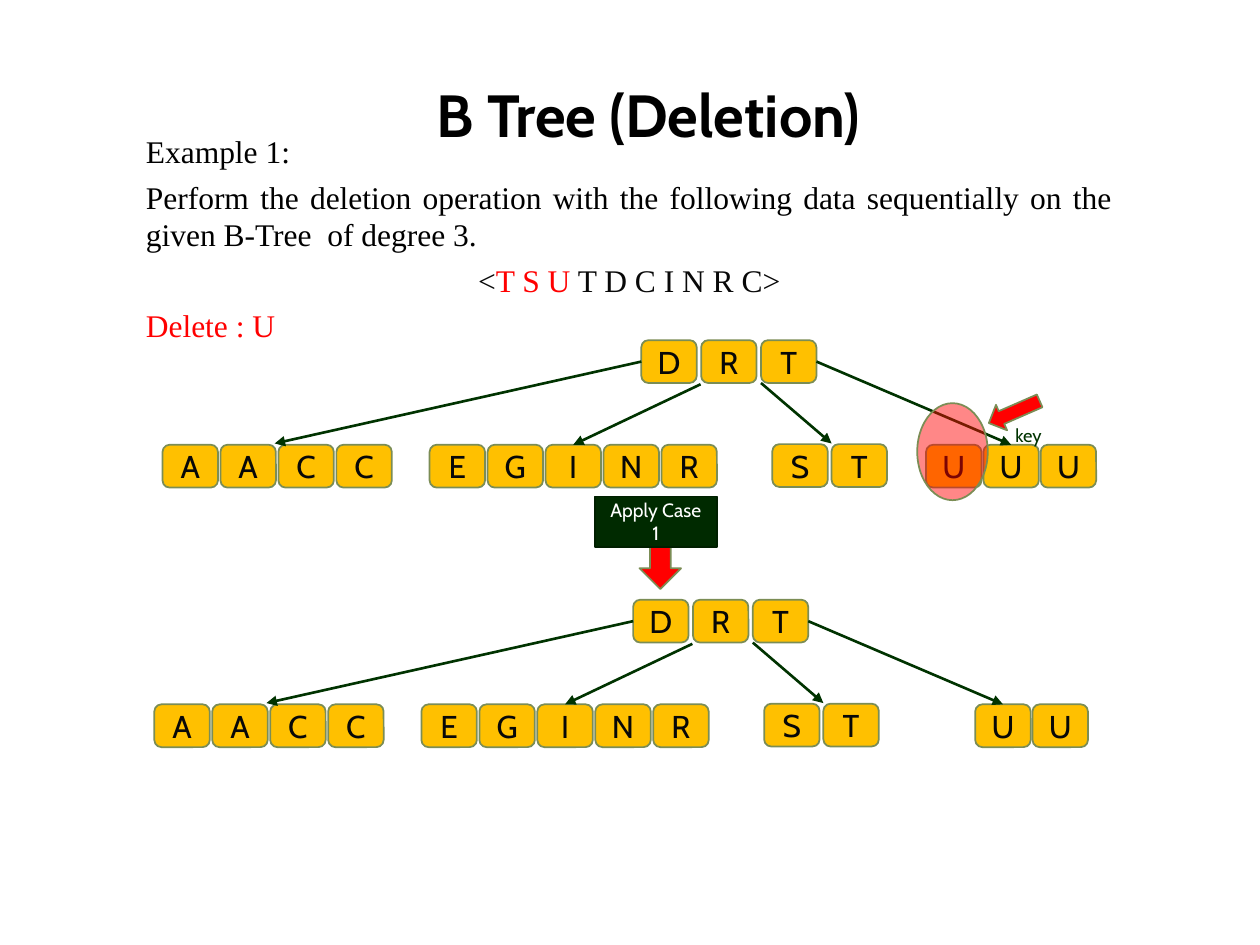
from lxml import etree
from pptx import Presentation
from pptx import util as u
from pptx.dml.color import RGBColor
from pptx.enum import shapes, text
from pptx.oxml.ns import qn

BLACK = RGBColor(0x00, 0x00, 0x00)
INK = RGBColor(0x08, 0x08, 0x08)
WHITE = RGBColor(0xFF, 0xFF, 0xFF)
RED = RGBColor(0xFF, 0x00, 0x00)
AMBER = RGBColor(0xFF, 0xC0, 0x00)
OLIVE = RGBColor(0x7B, 0x8D, 0x55)
GREEN = RGBColor(0x00, 0x33, 0x00)
DARK_GREEN = RGBColor(0x00, 0x2A, 0x00)
EDGE_GREEN = RGBColor(0x00, 0x1F, 0x00)

TITLE = {"name": "Cabin", "size": u.Pt(34), "bold": True}
BODY = {"name": "Times New Roman", "size": u.Pt(18)}
KEY = {"name": "Cabin", "size": u.Pt(18)}
CASE = {"name": "Cabin", "size": u.Pt(11)}
NOTE = {"name": "Cabin", "size": u.Pt(10.5)}

ALIGN = text.PP_ALIGN
PRESET = shapes.MSO_SHAPE

deck = Presentation()
deck.slide_width, deck.slide_height = u.Inches(10), u.Inches(7.5)
slide = deck.slides.add_slide(deck.slide_layouts[6])

# The slide is a grid of 100 columns by 75 rows
COL = deck.slide_width / 100
ROW = deck.slide_height / 75


def write(paragraph, runs, style, align):
    """Fill a paragraph with (words, colour) runs that share one style."""
    paragraph.alignment = align
    for words, color in runs:
        run = paragraph.add_run()
        run.text = words
        for attribute, value in style.items():
            setattr(run.font, attribute, value)
        run.font.color.rgb = color


def add_block(group, preset, place, fill, line=OLIVE):
    """Add a filled shape at (column, row, columns, rows)."""
    x, y, w, h = place
    block = group.shapes.add_shape(
        preset, int(x * COL), int(y * ROW), int(w * COL), int(h * ROW))
    block.shadow.inherit = False
    block.fill.solid()
    block.fill.fore_color.rgb = fill
    block.line.color.rgb = line
    block.line.width = u.Pt(1)
    block.text_frame.vertical_anchor = text.MSO_ANCHOR.MIDDLE
    return block


# Title
title = slide.shapes.add_textbox(
    int(6.5 * COL), int(5.1 * ROW), int(90 * COL), int(7.9 * ROW)).text_frame
title.word_wrap = True
title.vertical_anchor = text.MSO_ANCHOR.MIDDLE
write(title.paragraphs[0], [("B Tree (Deletion)", BLACK)], TITLE, ALIGN.CENTER)

# Exercise
exercise = slide.shapes.add_textbox(
    int(10.6 * COL), int(9.7 * ROW), int(78.7 * COL), int(18.6 * ROW)).text_frame
exercise.word_wrap = True
exercise.margin_top = int(0.8 * ROW)
task = ("Perform the deletion operation with the following data sequentially "
        "on the given B-Tree  of degree 3.")
lines = [
    (ALIGN.JUSTIFY, [("Example 1:", BLACK)]),
    (ALIGN.JUSTIFY, [(task, BLACK)]),
    (ALIGN.CENTER, [("<", INK), ("T S U", RED), (" T D C I N R C>", INK)]),
    (ALIGN.LEFT, [("Delete : U", RED)]),
]
for number, (align, runs) in enumerate(lines):
    paragraph = exercise.paragraphs[0] if number == 0 else exercise.add_paragraph()
    if number:
        paragraph.space_before = u.Pt(4.3)
    write(paragraph, runs, BODY, align)

# Trees before and after the deletion: shift, then the last leaf
KEY_W, KEY_H = 4.4, 3.4
trees = [(0, 0, (73.5, 35.3, 4.55, "UUU")),
         (-0.65, 20.6, (78.05, 35.3, 4.55, "UU"))]
groups = []
for shift_x, shift_y, last_leaf in trees:
    group = slide.shapes.add_group_shape()
    groups.append(group)
    nodes = []
    for x, y, pitch, keys in [(50.9, 27, 4.75, "DRT"), (12.9, 35.3, 4.6, "AACC"),
                              (34.1, 35.3, 4.6, "EGINR"), (61.3, 35.25, 4.7, "ST"),
                              last_leaf]:
        node = []
        for column, letter in enumerate(keys):
            place = (x + shift_x + column * pitch, y + shift_y, KEY_W, KEY_H)
            key = add_block(group, PRESET.ROUNDED_RECTANGLE, place, AMBER)
            write(key.text_frame.paragraphs[0], [(letter, INK)], KEY, ALIGN.CENTER)
            node.append(key)
        nodes.append(node)

    root, _, middle, _, last = nodes
    branches = [
        ((50.9, 28.7), (21.8, 35.2), (root[0], 1), None),
        ((55.6, 30.5), (45.5, 35.3), None, (middle[2], 0)),
        ((60.4, 30.4), (66, 35.2), None, None),
        ((64.8, 28.7), (80.3, 35.3), (root[2], 3), (last[-2], 0)),
    ]
    for (x1, y1), (x2, y2), start, end in branches:
        branch = group.shapes.add_connector(
            shapes.MSO_CONNECTOR.STRAIGHT,
            int((x1 + shift_x) * COL), int((y1 + shift_y) * ROW),
            int((x2 + shift_x) * COL), int((y2 + shift_y) * ROW))
        if start:
            branch.begin_connect(*start)
        if end:
            branch.end_connect(*end)
        branch.line.color.rgb = GREEN
        branch.line.width = u.Pt(1.5)
        etree.SubElement(branch.line._get_or_add_ln(), qn("a:tailEnd"), type="triangle")
        etree.SubElement(branch._element.spPr, qn("a:effectLst"))

# Marks on the key to delete
before = groups[0]
highlight = add_block(before, PRESET.OVAL, (72.8, 32, 5.6, 7.7), RED)
red_fill = highlight._element.spPr.find(qn("a:solidFill"))
etree.SubElement(red_fill[0], qn("a:alpha"), val="47000")
pointer = add_block(before, PRESET.LEFT_ARROW, (78.3, 31.6, 4.4, 2.2), RED)
pointer.rotation = 336.4
note = before.shapes.add_textbox(
    int(79.6 * COL), int(33.2 * ROW), int(4.6 * COL), int(2.8 * ROW)).text_frame
write(note.paragraphs[0], [("key", GREEN)], NOTE, ALIGN.LEFT)

# Step from one tree to the next
step = add_block(before, PRESET.RIGHT_ARROW, (50.4, 43.1, 4, 3.3), RED)
step.rotation = 90
case = add_block(before, PRESET.RECTANGLE, (47.2, 39.4, 9.7, 4), DARK_GREEN, EDGE_GREEN)
case.text_frame.word_wrap = True
write(case.text_frame.paragraphs[0], [("Apply Case 1", WHITE)], CASE, ALIGN.CENTER)

deck.save("out.pptx")
